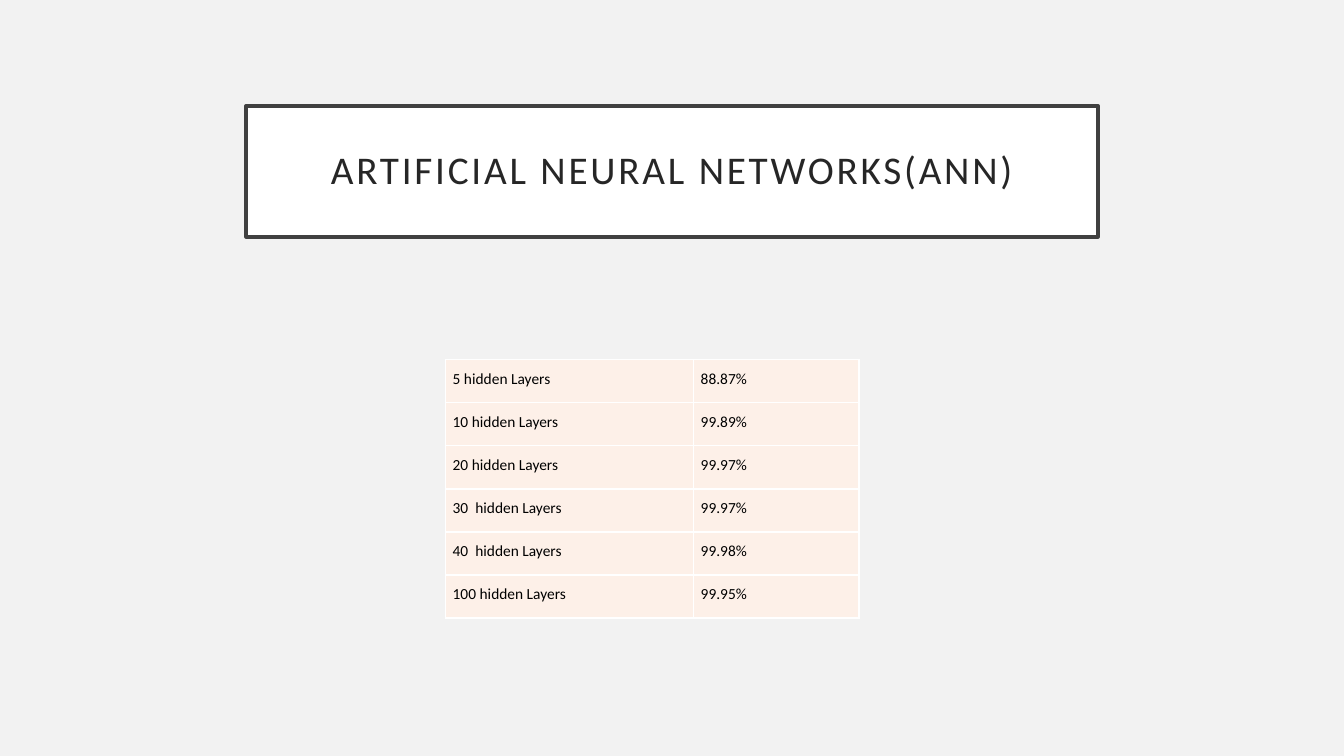
"""Build the slide of network accuracy by number of hidden layers."""
from lxml import etree
from pptx import Presentation
from pptx import util as u
from pptx.dml.color import RGBColor
from pptx.enum import shapes, text
from pptx.oxml import ns

BACKGROUND = RGBColor(0xF2, 0xF2, 0xF2)
WHITE = RGBColor(0xFF, 0xFF, 0xFF)
FRAME = RGBColor(0x40, 0x40, 0x40)
TITLE_INK = RGBColor(0x26, 0x26, 0x26)
BLACK = RGBColor(0, 0, 0)
PEACH = RGBColor(0xFD, 0xF0, 0xE8)

ACCURACIES = [
    ("5 hidden Layers", "88.87%"),
    ("10 hidden Layers", "99.89%"),
    ("20 hidden Layers", "99.97%"),
    ("30  hidden Layers", "99.97%"),
    ("40  hidden Layers", "99.98%"),
    ("100 hidden Layers", "99.95%"),
]


class SlideBuilder:
    font = "Calibri"

    def __init__(self, presentation):
        self.slide = presentation.slides.add_slide(presentation.slide_layouts[5])
        fill = self.slide.background.fill
        fill.solid()
        fill.fore_color.rgb = BACKGROUND

    def format_runs(self, paragraph, size, color):
        for run in paragraph.runs:
            run.font.name = self.font
            run.font.size = u.Pt(size)
            run.font.color.rgb = color

    def set_margins(self, box, margin):
        box.margin_left = box.margin_right = u.Inches(margin)
        box.margin_top = box.margin_bottom = u.Inches(margin)

    def title(self, words, left, top, width, height):
        shape = self.slide.shapes.title
        shape.left, shape.top = u.Inches(left), u.Inches(top)
        shape.width, shape.height = u.Inches(width), u.Inches(height)
        shape.fill.solid()
        shape.fill.fore_color.rgb = WHITE
        shape.line.color.rgb = FRAME
        shape.line.width = u.Pt(2.5)
        frame = shape.text_frame
        frame.text = words
        frame.word_wrap = True
        frame.auto_size = text.MSO_AUTO_SIZE.NONE
        frame.vertical_anchor = text.MSO_ANCHOR.MIDDLE
        self.set_margins(frame, 0.2)
        paragraph = frame.paragraphs[0]
        paragraph.alignment = text.PP_ALIGN.CENTER
        paragraph.line_spacing = 0.9
        self.format_runs(paragraph, 28, TITLE_INK)
        for run in paragraph.runs:
            run.font._element.set("spc", "200")

    def border(self, cell):
        properties = cell._tc.get_or_add_tcPr()
        for side in ("a:lnL", "a:lnR", "a:lnT", "a:lnB"):
            line = etree.SubElement(properties, ns.qn(side), w=str(u.Pt(1)))
            fill = etree.SubElement(line, ns.qn("a:solidFill"))
            etree.SubElement(fill, ns.qn("a:srgbClr"), val=str(WHITE))

    def cell(self, cell, words):
        self.set_margins(cell, 0.07)
        self.border(cell)
        cell.fill.solid()
        cell.fill.fore_color.rgb = PEACH
        cell.text_frame.text = words
        paragraph = cell.text_frame.paragraphs[0]
        paragraph.line_spacing = 1.15
        paragraph.space_before = u.Pt(10)
        self.format_runs(paragraph, 11, BLACK)

    def table(self, rows, left, top, widths, row_height):
        shape = self.slide.shapes.add_table(
            len(rows), len(widths), u.Inches(left), u.Inches(top),
            u.Inches(sum(widths)), u.Inches(row_height * len(rows)))
        table = shape.table
        table.first_row = table.horz_banding = False
        for column, width in zip(table.columns, widths):
            column.width = u.Inches(width)
        for row, values in zip(table.rows, rows):
            row.height = u.Inches(row_height)
            for cell, value in zip(row.cells, values):
                self.cell(cell, value)


def main():
    presentation = Presentation()
    presentation.slide_width = u.Inches(13.33)
    presentation.slide_height = u.Inches(7.5)
    builder = SlideBuilder(presentation)
    builder.title("ARTIFICIAL NEURAL NETWORKS(ANN)", 2.44, 1.05, 8.45, 1.3)
    builder.table(ACCURACIES, 4.42, 3.57, (2.46, 1.64), 0.427)
    presentation.save("out.pptx")


if __name__ == "__main__":
    main()
